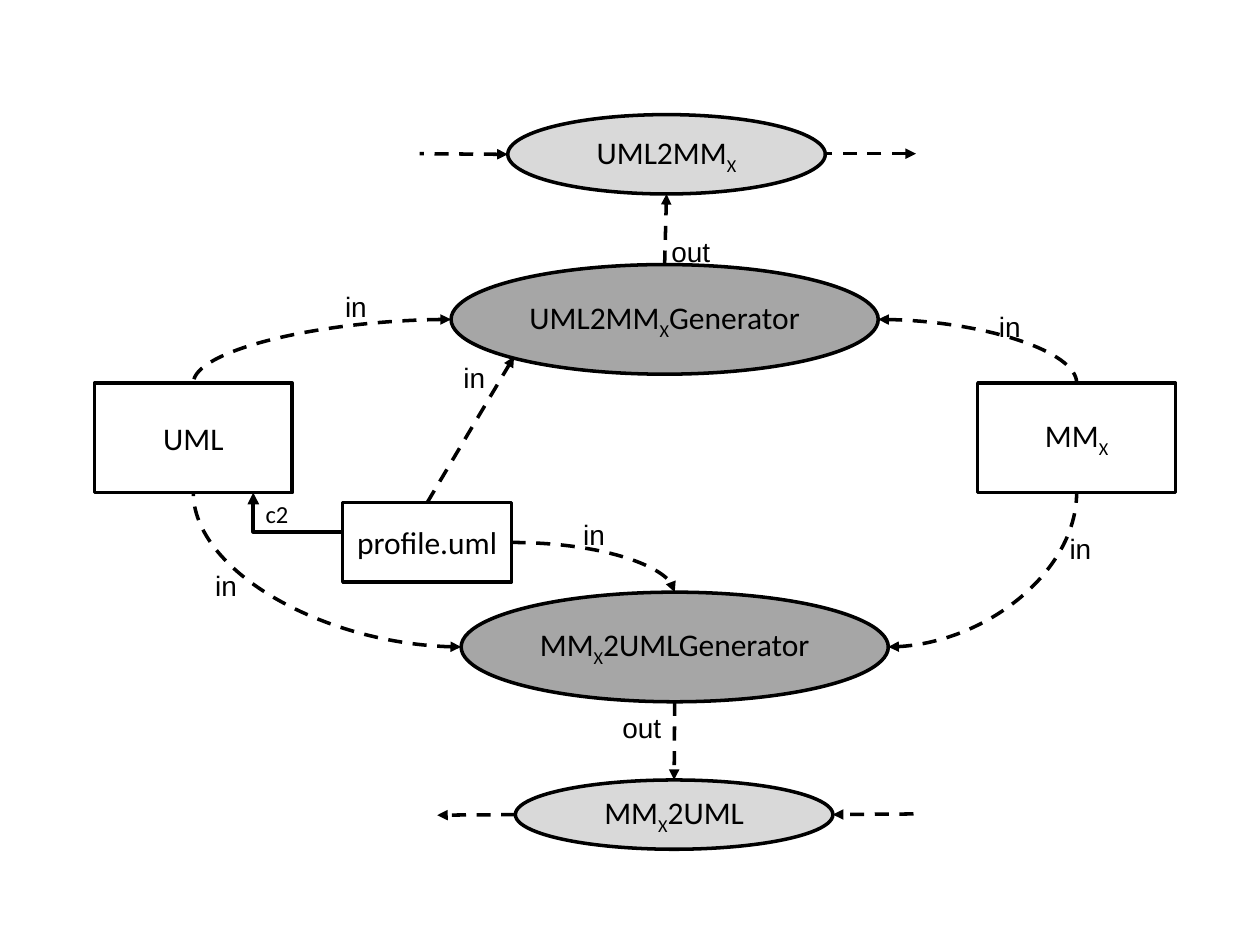
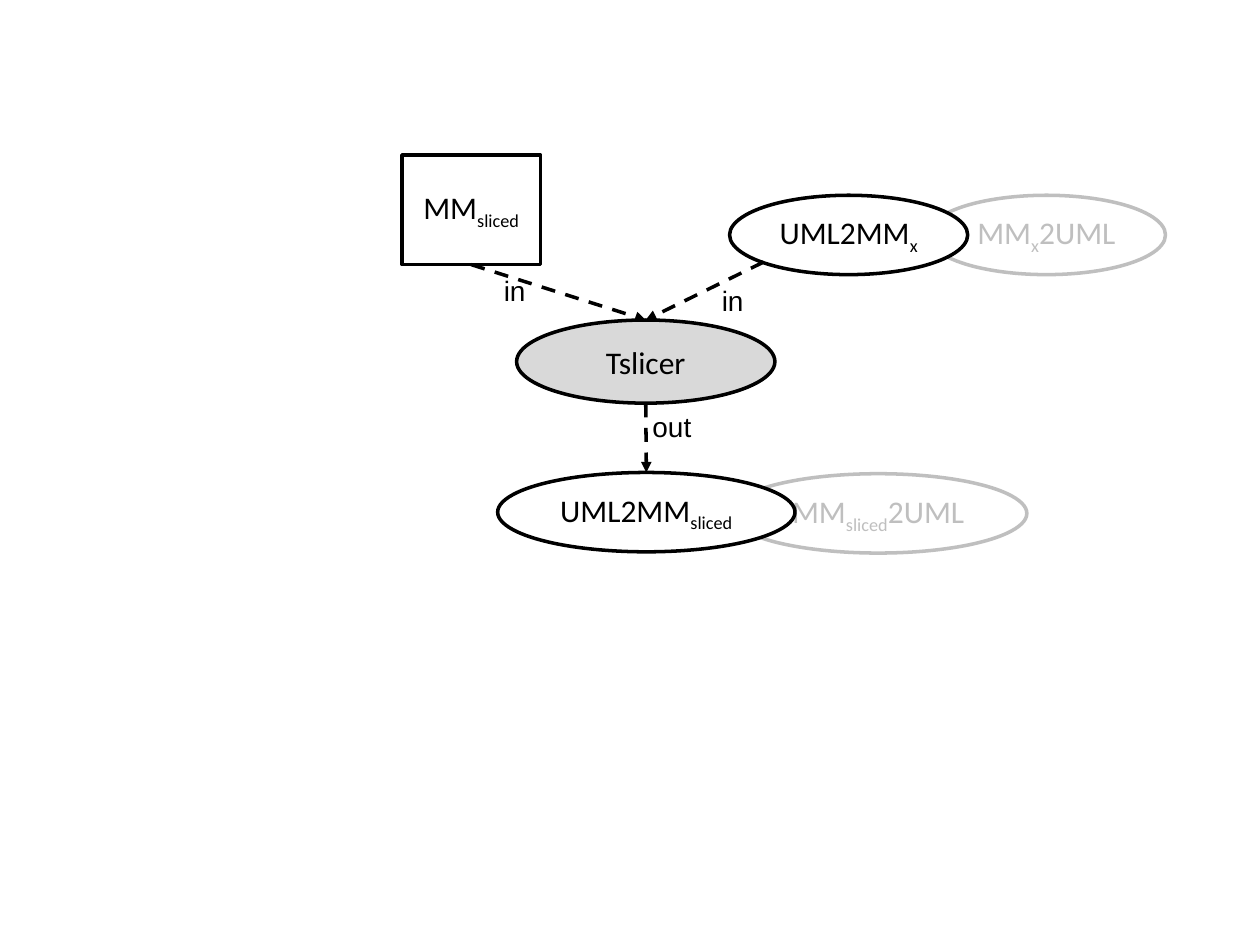
from pptx import Presentation
from pptx.dml.color import RGBColor
from pptx.enum.dml import MSO_LINE
from pptx.enum.shapes import MSO_CONNECTOR, MSO_SHAPE
from pptx.enum.text import MSO_ANCHOR, PP_ALIGN
from pptx.oxml.ns import qn
from pptx.util import Inches, Pt
from lxml.etree import SubElement

BLACK = RGBColor(0x00, 0x00, 0x00)
WHITE = RGBColor(0xFF, 0xFF, 0xFF)
PALE = RGBColor(0xD9, 0xD9, 0xD9)
DARK = RGBColor(0xA6, 0xA6, 0xA6)
FADED = RGBColor(0xBF, 0xBF, 0xBF)
RECT, OVAL = MSO_SHAPE.RECTANGLE, MSO_SHAPE.OVAL
LINE, CURVE, BENT = MSO_CONNECTOR.STRAIGHT, MSO_CONNECTOR.CURVE, MSO_CONNECTOR.ELBOW
TOP, LEFT, BOTTOM, RIGHT = range(4)
HEAD, TAIL = "a:headEnd", "a:tailEnd"


def add_node(slide, text, kind, box, fill=WHITE, ink=BLACK):
    """Draw a node; the part of its text between underscores is a subscript."""
    node = slide.shapes.add_shape(kind, *map(Inches, box))
    node.shadow.inherit = False
    node.fill.solid()
    node.fill.fore_color.rgb = fill
    node.line.color.rgb = ink
    node.line.width = Pt(2)
    frame = node.text_frame
    frame.word_wrap = False
    frame.vertical_anchor = MSO_ANCHOR.MIDDLE
    para = frame.paragraphs[0]
    para.alignment = PP_ALIGN.CENTER
    for i, part in enumerate(text.split("_")):
        run = para.add_run()
        run.text = part
        run.font.name, run.font.size = "Calibri", Pt(18)
        run.font.color.rgb = ink
        if i % 2:
            run._r.get_or_add_rPr().set("baseline", "-25000")
    return node


def add_link(slide, kind, start, end, tip=TAIL):
    """Draw an arrow; each end is a point (x, y) or a place (node, side)."""
    link = slide.shapes.add_connector(kind, 0, 0, 0, 0)
    if isinstance(start[0], float):
        link.begin_x, link.begin_y = map(Inches, start)
    else:
        link.begin_connect(*start)
    if isinstance(end[0], float):
        link.end_x, link.end_y = map(Inches, end)
    else:
        link.end_connect(*end)
    # An oval has eight joints, so its side numbers are doubled
    for tag, (node, side) in (("a:stCxn", start), ("a:endCxn", end)):
        for joint in link._element.iter(qn(tag)):
            if node.auto_shape_type == OVAL:
                joint.set("idx", str(side * 2))
    link.line.color.rgb = BLACK
    link.line.width = Pt(2.25 if kind == BENT else 2)
    if kind != BENT:
        link.line.dash_style = MSO_LINE.DASH
    props = link._element.spPr
    SubElement(props.find(qn("a:ln")), qn(tip), type="triangle")
    SubElement(props, qn("a:effectLst"))
    shape = props.find(qn("a:prstGeom"))
    if kind == CURVE:
        shape.set("prst", "curvedConnector2")
    elif kind == BENT:
        SubElement(shape.find(qn("a:avLst")), qn("a:gd"), name="adj1", fmla="val 99900")


deck = Presentation()
deck.slide_width, deck.slide_height = Inches(10), Inches(7.5)
blank = deck.slide_layouts[6]

# Slide 1: the two generators
first = deck.slides.add_slide(blank)
uml = add_node(first, "UML", RECT, (0.75, 3.04, 1.57, 0.87))
meta = add_node(first, "MM_X", RECT, (7.76, 3.04, 1.57, 0.87))
prof = add_node(first, "profile.uml", RECT, (2.72, 3.99, 1.34, 0.63))
back = add_node(first, "MM_X_2UML", OVAL, (4.09, 6.19, 2.52, 0.55), PALE)
forth = add_node(first, "UML2MM_X", OVAL, (4.03, 0.91, 2.52, 0.63), PALE)
low = add_node(first, "MM_X_2UMLGenerator", OVAL, (3.66, 4.7, 3.39, 0.87), DARK)
high = add_node(first, "UML2MM_X_Generator", OVAL, (3.58, 2.1, 3.39, 0.87), DARK)

# Inputs of the generators
for maker, side in ((high, TOP), (low, BOTTOM)):
    add_link(first, CURVE, (maker, LEFT), (uml, side), HEAD)
    add_link(first, CURVE, (maker, RIGHT), (meta, side), HEAD)
add_link(first, CURVE, (prof, RIGHT), (low, TOP))
add_link(first, LINE, (prof, TOP), (4.08, 2.83))
add_link(first, BENT, (2.72, 4.22), (2.01, 3.91))

# Outputs of the generators, and flow through the results
add_link(first, LINE, (high, TOP), (forth, BOTTOM))
add_link(first, LINE, (low, BOTTOM), (back, TOP))
add_link(first, LINE, (7.25, 6.46), (back, RIGHT))
add_link(first, LINE, (back, LEFT), (3.47, 6.47))
add_link(first, LINE, (forth, LEFT), (3.33, 1.22), HEAD)
add_link(first, LINE, (7.27, 1.22), (6.56, 1.22), HEAD)

# Slide 2: the slicer
second = deck.slides.add_slide(blank)
add_node(second, "MM_x_2UML", OVAL, (7.36, 1.55, 1.89, 0.63), ink=FADED)
part = add_node(second, "MM_sliced", RECT, (3.19, 1.23, 1.1, 0.87))
slicer = add_node(second, "Tslicer", OVAL, (4.1, 2.54, 2.05, 0.66), PALE)
add_node(second, "UML2MM_x", OVAL, (5.79, 1.55, 1.89, 0.63))
add_node(second, "MM_sliced_2UML", OVAL, (5.79, 3.76, 2.36, 0.63), ink=FADED)
result = add_node(second, "UML2MM_sliced", OVAL, (3.95, 3.75, 2.36, 0.63))
add_link(second, LINE, (part, BOTTOM), (slicer, TOP))
add_link(second, LINE, (6.06, 2.08), (slicer, TOP))
add_link(second, LINE, (slicer, BOTTOM), (result, TOP))

# Arrow labels on both slides
labels = (
    (first, "c2", 2.01, 3.91),
    (first, "in", 2.64, 2.25),
    (first, "in", 7.83, 2.41),
    (first, "in", 1.61, 4.46),
    (first, "in", 8.39, 4.17),
    (first, "in", 3.58, 2.81),
    (first, "in", 4.53, 4.06),
    (first, "out", 4.84, 5.59),
    (first, "out", 5.23, 1.81),
    (second, "in", 3.9, 2.12),
    (second, "out", 5.08, 3.2),
    (second, "in", 5.63, 2.2),
)
for slide, text, x, y in labels:
    width = 0.39 if text == "in" else 0.55
    label = slide.shapes.add_textbox(Inches(x), Inches(y), Inches(width), Inches(0.37))
    label.text_frame.word_wrap = True
    label.text_frame.text = text
    font = label.text_frame.paragraphs[0].runs[0].font
    font.name, font.size = ("Calibri", Pt(14)) if text == "c2" else ("Arial", Pt(16))
    font.color.rgb = BLACK

deck.save("out.pptx")
